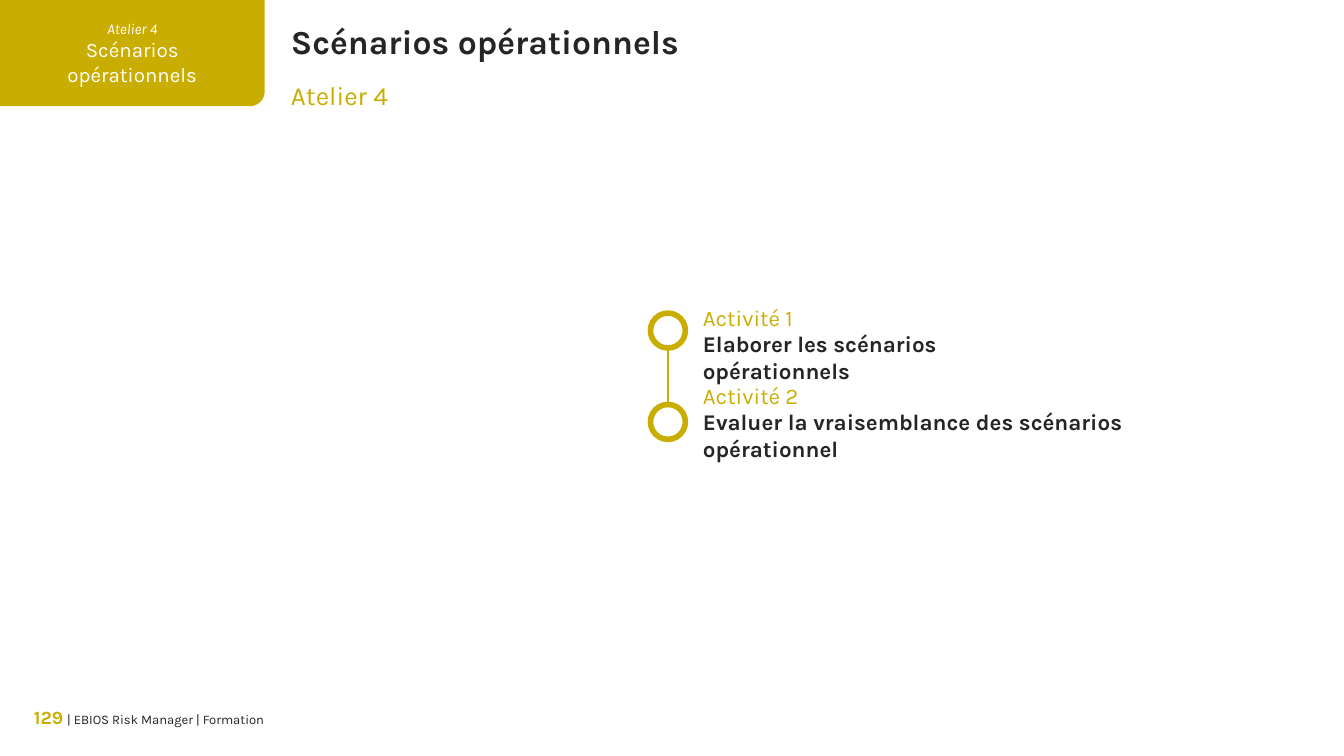
import math
from dataclasses import dataclass

from lxml import etree
from pptx import Presentation
from pptx.dml.color import RGBColor
from pptx.enum.shapes import MSO_CONNECTOR, MSO_SHAPE
from pptx.enum.text import MSO_ANCHOR, PP_ALIGN
from pptx.oxml.ns import qn
from pptx.util import Pt

PX = 4572  # EMU per px, 200 px to the inch
SLIDE_W, SLIDE_H = 2000, 1125
FONT = "Karla"
GOLD = RGBColor(0xC9, 0xAD, 0x00)
INK = RGBColor(0x25, 0x25, 0x25)
GREY = RGBColor(0x32, 0x32, 0x32)
WHITE = RGBColor(0xFF, 0xFF, 0xFF)
LEFT, CENTER, RIGHT = PP_ALIGN.LEFT, PP_ALIGN.CENTER, PP_ALIGN.RIGHT
TOP, MIDDLE = MSO_ANCHOR.TOP, MSO_ANCHOR.MIDDLE
OVAL, STRAIGHT = MSO_SHAPE.OVAL, MSO_CONNECTOR.STRAIGHT

TAB_W, TAB_H, TAB_RADIUS = 394, 158, 22
ARC_STEPS = 12
RING_X, RING_SIZE = 968, 52
ACTIVITY_TEXT_X = 1046
HEADING_X = 433


@dataclass(frozen=True)
class Box:
    x: int
    y: int
    w: int
    h: int

    def emu(self) -> tuple[int, int, int, int]:
        return self.x * PX, self.y * PX, self.w * PX, self.h * PX


@dataclass(frozen=True)
class Activity:
    label: str
    title: str
    ring_y: int
    text_y: int
    text_w: int
    text_h: int


ACTIVITIES = [
    Activity("Activité 1", "Elaborer les scénarios opérationnels", 466, 452, 574, 80),
    Activity("Activité 2", "Evaluer la vraisemblance des scénarios opérationnel",
             602, 568, 650, 122),
]


def add_run(p, text: str, *, size: float, color: RGBColor,
            bold: bool = False, italic: bool = False) -> None:
    r = p.add_run()
    r.text = text
    r.font.name = FONT
    r.font.size = Pt(size)
    r.font.bold = bold
    r.font.italic = italic
    r.font.color.rgb = color


def add_text_box(s, box: Box, align: PP_ALIGN = LEFT):
    """Add a wrapping box without margins and return its first paragraph."""
    tf = s.shapes.add_textbox(*box.emu()).text_frame
    tf.word_wrap = True
    tf.vertical_anchor = TOP
    tf.margin_left = tf.margin_top = tf.margin_right = tf.margin_bottom = 0
    p = tf.paragraphs[0]
    p.alignment = align
    return p


def add_workshop_tab(s) -> None:
    """Add the corner tab, rounded at its lower right."""
    cx, cy = TAB_W - TAB_RADIUS, TAB_H - TAB_RADIUS
    angles = [math.pi / 2 * i / ARC_STEPS for i in range(ARC_STEPS + 1)]
    arc = [(round((cx + TAB_RADIUS * math.cos(a)) * PX),
            round((cy + TAB_RADIUS * math.sin(a)) * PX)) for a in angles]
    outline = s.shapes.build_freeform(0, 0)
    outline.add_line_segments([(TAB_W * PX, 0), *arc, (0, TAB_H * PX)], close=True)
    sp = outline.convert_to_shape()
    sp.shadow.inherit = False
    sp.fill.solid()
    sp.fill.fore_color.rgb = GOLD
    sp.line.fill.background()
    tf = sp.text_frame
    tf.word_wrap = True
    tf.vertical_anchor = MIDDLE
    lines = [("Atelier 4", 8, True), ("Scénarios", 11, False), ("opérationnels", 11, False)]
    for i, (text, size, italic) in enumerate(lines):
        p = tf.add_paragraph() if i else tf.paragraphs[0]
        p.alignment = CENTER
        add_run(p, text, size=size, color=WHITE, italic=italic)


def add_timeline(s) -> None:
    """Add the line that joins the first ring to the last."""
    x = (RING_X + RING_SIZE // 2) * PX
    line = s.shapes.add_connector(STRAIGHT, x, ACTIVITIES[0].ring_y * PX,
                                  x, (ACTIVITIES[-1].ring_y + RING_SIZE) * PX)
    line.line.color.rgb = GOLD
    line.line.width = Pt(1.25)
    etree.SubElement(line._element.spPr, qn("a:effectLst"))


def add_ring(s, activity: Activity) -> None:
    box = Box(RING_X, activity.ring_y, RING_SIZE, RING_SIZE)
    sp = s.shapes.add_shape(OVAL, *box.emu())
    sp.shadow.inherit = False
    sp.fill.solid()
    sp.fill.fore_color.rgb = WHITE
    sp.line.color.rgb = GOLD
    sp.line.width = Pt(3)


def add_activity_text(s, activity: Activity) -> None:
    box = Box(ACTIVITY_TEXT_X, activity.text_y, activity.text_w, activity.text_h)
    p = add_text_box(s, box)
    add_run(p, activity.label, size=12, color=GOLD)
    p.add_line_break()
    add_run(p, activity.title, size=12, color=INK, bold=True)


def main() -> None:
    prs = Presentation()
    prs.slide_width, prs.slide_height = SLIDE_W * PX, SLIDE_H * PX
    s = prs.slides.add_slide(prs.slide_layouts[6])

    footer = add_text_box(s, Box(40, 1050, 353, 40), RIGHT)
    add_run(footer, "129", size=10, color=GOLD, bold=True)
    add_run(footer, " ", size=9, color=GREY)
    add_run(footer, "| EBIOS Risk Manager | Formation", size=7, color=INK)

    add_workshop_tab(s)
    add_timeline(s)
    for activity in ACTIVITIES:
        add_ring(s, activity)
    for activity in ACTIVITIES:
        add_activity_text(s, activity)

    title = add_text_box(s, Box(HEADING_X, 31, 1496, 60))
    add_run(title, "Scénarios opérationnels", size=18, color=INK, bold=True)
    subtitle = add_text_box(s, Box(HEADING_X, 118, 1408, 48))
    add_run(subtitle, "Atelier 4", size=14, color=GOLD)

    prs.save("out.pptx")


if __name__ == "__main__":
    main()
